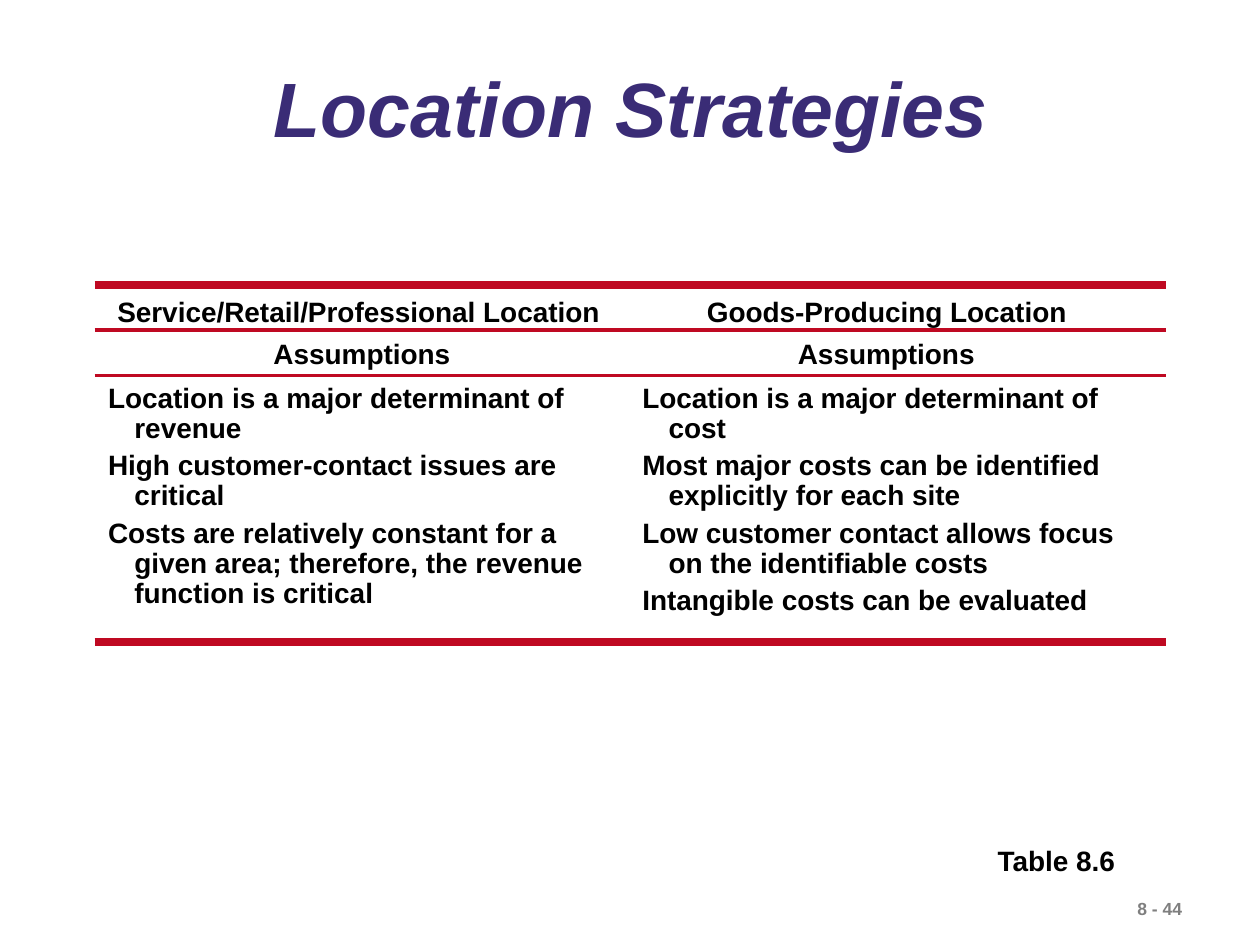
"""Build the Location Strategies slide with its two-column comparison of assumptions."""
import pptx
import pptx.dml.color
import pptx.enum.shapes
import pptx.enum.text
import pptx.oxml
import pptx.oxml.ns
import pptx.util

Cm = pptx.util.Cm
Pt = pptx.util.Pt
COLORS = {"title": "3A2C76", "text": "000000", "number": "7F7F7F", "rule": "BF0922"}


def format_paragraph(paragraph, size, color, italic=False):
    for run in paragraph.runs:
        run.font.name = "Arial"
        run.font.size = Pt(size)
        run.font.bold = True
        run.font.italic = italic
        run.font.color.rgb = pptx.dml.color.RGBColor.from_string(COLORS[color])


def add_text(left, top, width, height, lines, size=16, color="text", wrap=True):
    shape = slide.shapes.add_textbox(Cm(left), Cm(top), Cm(width), Cm(height))
    shape.text_frame.text = "\n".join(lines)
    shape.text_frame.word_wrap = wrap
    for paragraph in shape.text_frame.paragraphs:
        format_paragraph(paragraph, size, color)
    return shape.text_frame.paragraphs


presentation = pptx.Presentation()
presentation.slide_width = Cm(25.4)
presentation.slide_height = Cm(19.05)
slide = presentation.slides.add_slide(presentation.slide_layouts[5])

title = slide.shapes.title
title.left, title.top, title.width, title.height = Cm(1.93), Cm(1.27), Cm(21.59), Cm(2.11)
title.text_frame.text = "Location Strategies"
title.text_frame.vertical_anchor = pptx.enum.text.MSO_ANCHOR.MIDDLE
title_paragraph = title.text_frame.paragraphs[0]
title_paragraph.alignment = pptx.enum.text.PP_ALIGN.CENTER
title_paragraph.line_spacing = 0.8
format_paragraph(title_paragraph, 44, "title", italic=True)

add_text(22.68, 17.98, 2.72, 0.69, ["8 - 44"], size=10, color="number", wrap=False)
add_text(19.86, 16.89, 2.92, 0.94, ["Table 8.6"], wrap=False)

headings = [
    "\tService/Retail/Professional Location\t Goods-Producing Location",
    "\t Assumptions\t Assumptions",
]
for paragraph in add_text(1.93, 5.64, 21.59, 1.96, headings):
    properties = paragraph._p.get_or_add_pPr()
    tab_list = pptx.oxml.parse_xml(f'<a:tabLst {pptx.oxml.ns.nsdecls("a")}/>')
    for position in (5.05, 15.62):
        tab = pptx.oxml.parse_xml(f'<a:tab {pptx.oxml.ns.nsdecls("a")} algn="ctr"/>')
        tab.set("pos", str(int(Cm(position))))
        tab_list.append(tab)
    properties.append(tab_list)
    paragraph.line_spacing = 1.25

columns = [
    (1.93, 10.77, [
        "Location is a major determinant of revenue",
        "High customer-contact issues are critical",
        "Costs are relatively constant for a given area; therefore, the revenue function is critical",
    ]),
    (12.7, 10.82, [
        "Location is a major determinant of cost",
        "Most major costs can be identified explicitly for each site",
        "Low customer contact allows focus on the identifiable costs",
        "Intangible costs can be evaluated",
    ]),
]
for left, width, assumptions in columns:
    for index, paragraph in enumerate(add_text(left, 7.62, width, 4.9, assumptions)):
        properties = paragraph._p.get_or_add_pPr()
        properties.set("marL", str(int(Cm(0.53))))
        properties.set("indent", str(-int(Cm(0.53))))
        paragraph.line_spacing = 0.9
        if index:
            paragraph.space_before = Pt(4)

for top, weight in ((5.74, 4.5), (6.65, 2.25), (7.57, 2.25), (12.95, 4.5)):
    rule = slide.shapes.add_connector(
        pptx.enum.shapes.MSO_CONNECTOR.STRAIGHT, Cm(1.91), Cm(top), Cm(23.5), Cm(top)
    )
    rule.line.color.rgb = pptx.dml.color.RGBColor.from_string(COLORS["rule"])
    rule.line.width = Pt(weight)
    rule._element.spPr.append(
        pptx.oxml.parse_xml(f'<a:effectLst {pptx.oxml.ns.nsdecls("a")}/>')
    )

presentation.save("out.pptx")
